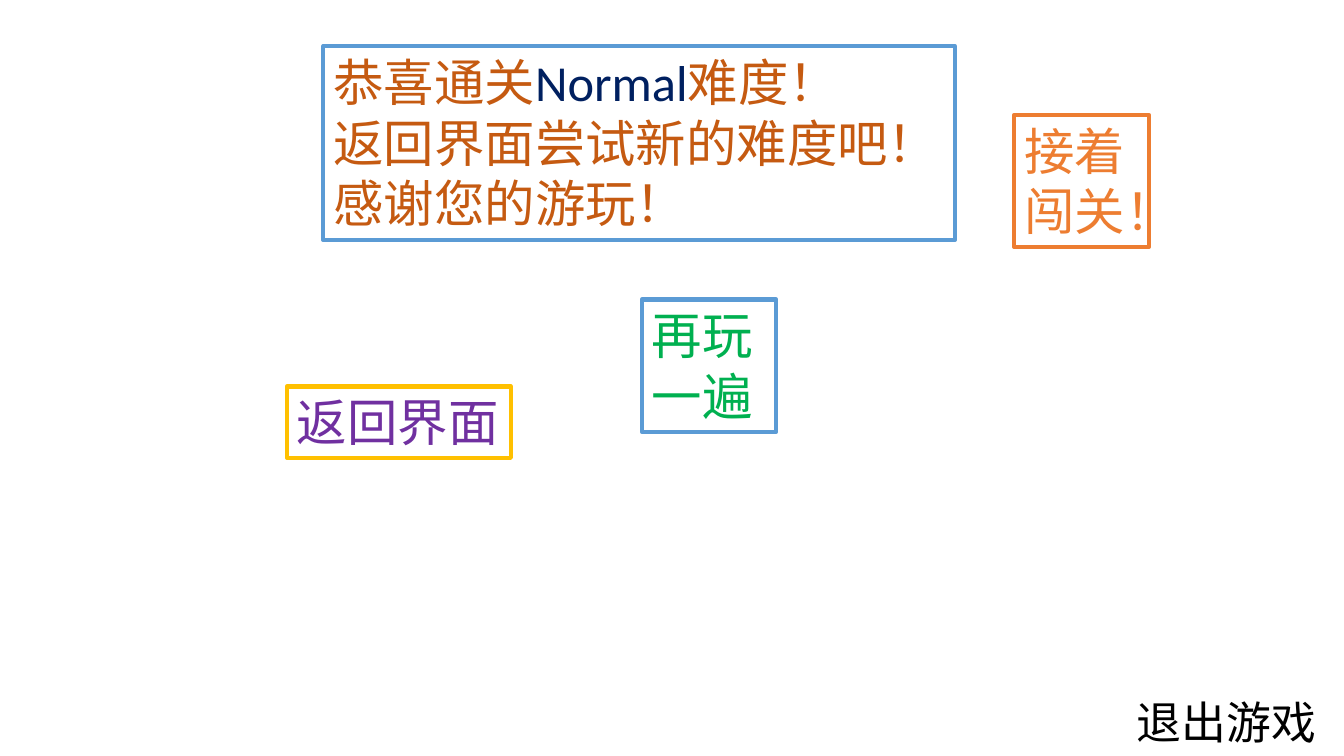
from pptx import Presentation
from pptx.dml.color import RGBColor
from pptx.enum.shapes import MSO_SHAPE as SHAPE
from pptx.enum.text import MSO_ANCHOR as ANCHOR, MSO_AUTO_SIZE as AUTO, PP_ALIGN as ALIGN
from pptx.util import Pt


def rgb(color):
    return RGBColor.from_string(color)


def add_run(p, text, size=36, color="000000"):
    r = p.add_run()
    r.text = text
    r.font.name = "Calibri"
    r.font.size = Pt(size)
    r.font.bold = False
    r.font.color.rgb = rgb(color)


def setup_text(sp, wrap=False):
    tf = sp.text_frame
    tf.word_wrap = wrap
    tf.auto_size = AUTO.SHAPE_TO_FIT_TEXT
    tf.vertical_anchor = ANCHOR.TOP
    tf.paragraphs[0].alignment = ALIGN.LEFT
    return tf


def set_frame(sp, line):
    sp.fill.solid()
    sp.fill.fore_color.rgb = rgb("FFFFFF")
    sp.line.color.rgb = rgb(line)
    sp.line.width = Pt(3)


def add_message(s, box):
    sp = s.shapes.title
    sp.left, sp.top, sp.width, sp.height = map(Pt, box)
    set_frame(sp, "5B9BD5")
    tf = setup_text(sp)
    p = tf.paragraphs[0]
    add_run(p, "恭喜通关", color="C55A11")
    add_run(p, "Normal", color="002060")
    add_run(p, "难度！", color="C55A11")
    for text in ("返回界面尝试新的难度吧！", "感谢您的游玩！"):
        p = tf.add_paragraph()
        p.alignment = ALIGN.LEFT
        add_run(p, text, color="C55A11")


def add_button(s, box, text, color, line, wrap=False):
    sp = s.shapes.add_shape(SHAPE.RECTANGLE, *map(Pt, box))
    sp.shadow.inherit = False
    set_frame(sp, line)
    add_run(setup_text(sp, wrap).paragraphs[0], text, color=color)


def add_exit(s, box):
    sp = s.shapes.add_textbox(*map(Pt, box))
    add_run(setup_text(sp).paragraphs[0], "退出游戏", size=32)


def main():
    prs = Presentation()
    prs.slide_width, prs.slide_height = Pt(960), Pt(540)
    s = prs.slides.add_slide(prs.slide_layouts[5])
    add_message(s, (231, 33, 451, 138.5))
    add_button(s, (205, 276, 160, 51), "返回界面", "7030A0", "FFC000")
    add_button(s, (458.5, 214, 96, 94.5), "再玩一遍", "00B050", "5B9BD5", wrap=True)
    add_exit(s, (805, 492.5, 144, 46))
    add_button(s, (724.5, 82, 96, 94.5), "接着闯关！", "ED7D31", "ED7D31", wrap=True)
    prs.save("out.pptx")


if __name__ == "__main__":
    main()
